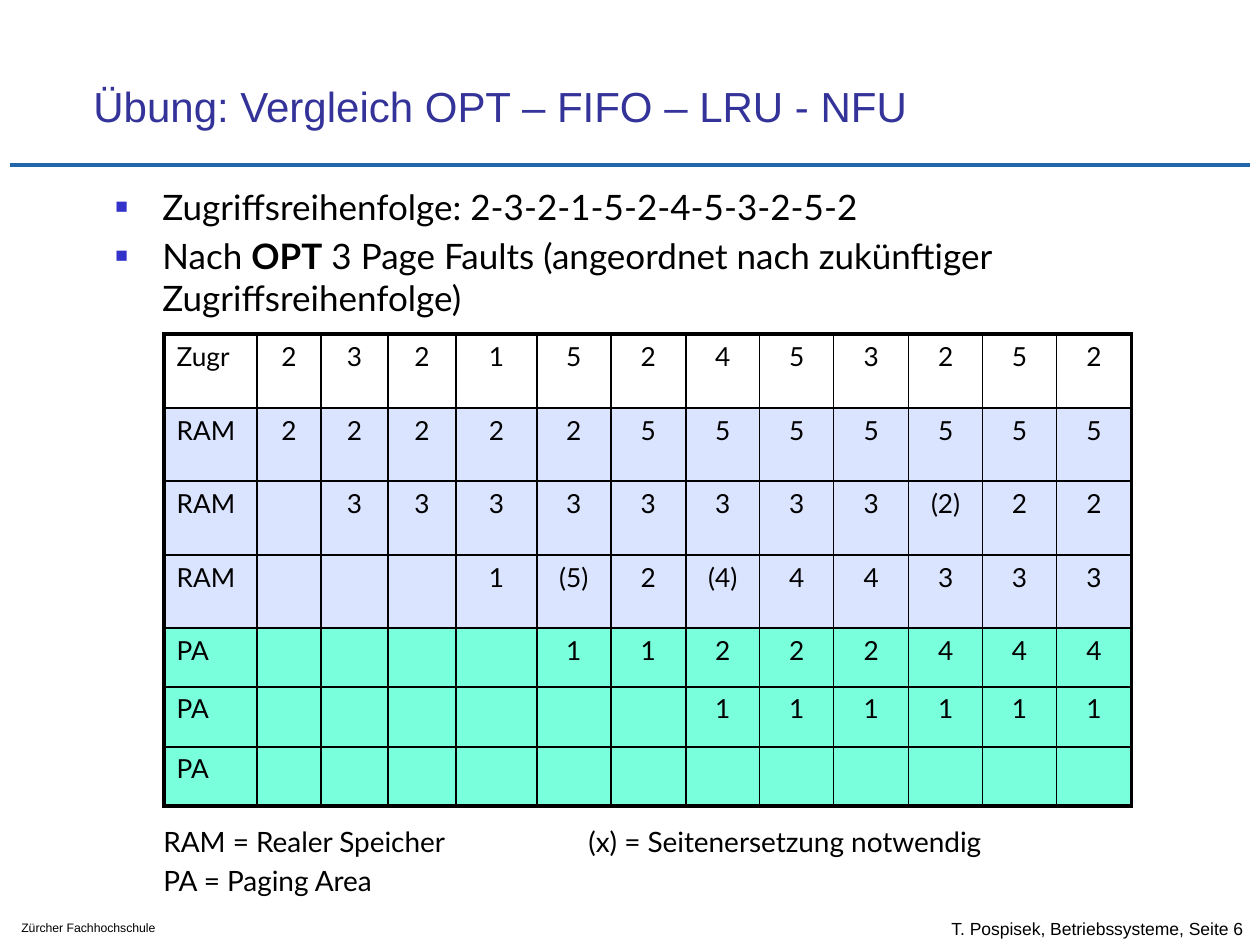
from dataclasses import dataclass

from lxml.etree import SubElement
from pptx import Presentation
from pptx.dml.color import RGBColor
from pptx.enum.shapes import MSO_CONNECTOR
from pptx.enum.text import MSO_ANCHOR, PP_ALIGN
from pptx.oxml.ns import qn
from pptx.slide import Slide
from pptx.table import _Cell
from pptx.text.text import TextFrame, _Paragraph
from pptx.util import Emu, Pt

PIXELS_PER_INCH = 126


@dataclass(frozen=True)
class Theme:
    heading_font: str = "Arial"
    body_font: str = "Lato"
    title_color: str = "333399"
    text_color: str = "000000"
    bullet_color: str = "3333CC"
    rule_color: str = "2266AB"
    border_color: str = "000000"
    access_fill: str = "FFFFFF"
    ram_fill: str = "DAE4FF"
    paging_fill: str = "79FFDC"
    title_size: float = 24
    body_size: float = 20
    legend_size: float = 16
    table_size: float = 15
    author_size: float = 10
    school_size: float = 7
    rule_width: float = 2.5
    outer_border: float = 2.21
    inner_border: float = 0.96


THEME = Theme()


@dataclass(frozen=True)
class Box:
    left: int
    top: int
    width: int
    height: int


@dataclass(frozen=True)
class TextStyle:
    font: str
    size: float
    color: str = THEME.text_color


@dataclass(frozen=True)
class Label:
    box: Box
    text: str
    style: TextStyle
    anchor: MSO_ANCHOR = MSO_ANCHOR.TOP


@dataclass(frozen=True)
class MemoryRow:
    name: str
    pages: str
    fill: str
    height: int

    def values(self, columns: int) -> list[str]:
        pages = self.pages.split()
        return [self.name] + [""] * (columns - 1 - len(pages)) + pages


LABELS = (
    Label(Box(939, 907, 321, 42), "T. Pospisek, Betriebssysteme, Seite 6",
          TextStyle(THEME.heading_font, THEME.author_size), MSO_ANCHOR.MIDDLE),
    Label(Box(9, 914, 217, 28), "Zürcher Fachhochschule",
          TextStyle(THEME.heading_font, THEME.school_size)),
    Label(Box(81, 42, 1074, 95), "Übung: Vergleich OPT – FIFO – LRU - NFU",
          TextStyle(THEME.heading_font, THEME.title_size, THEME.title_color),
          MSO_ANCHOR.BOTTOM),
)
BODY_STYLE = TextStyle(THEME.body_font, THEME.body_size)
LEGEND_STYLE = TextStyle(THEME.body_font, THEME.legend_size)
TABLE_STYLE = TextStyle(THEME.body_font, THEME.table_size)

BULLETS = (
    (("Zugriffsreihenfolge: 2-3-2-1-5-2-4-5-3-2-5-2", False),),
    (("Nach ", False), ("OPT", True),
     (" 3 Page Faults (angeordnet nach zukünftiger Zugriffsreihenfolge)", False)),
)
LEGEND = ("RAM = Realer Speicher\t(x) = Seitenersetzung notwendig", "PA = Paging Area")

MEMORY_ROWS = (
    MemoryRow("Zugr", "2 3 2 1 5 2 4 5 3 2 5 2", THEME.access_fill, 74),
    MemoryRow("RAM", "2 2 2 2 2 5 5 5 5 5 5 5", THEME.ram_fill, 73),
    MemoryRow("RAM", "3 3 3 3 3 3 3 3 (2) 2 2", THEME.ram_fill, 74),
    MemoryRow("RAM", "1 (5) 2 (4) 4 4 3 3 3", THEME.ram_fill, 73),
    MemoryRow("PA", "1 1 2 2 2 4 4 4", THEME.paging_fill, 59),
    MemoryRow("PA", "1 1 1 1 1 1", THEME.paging_fill, 60),
    MemoryRow("PA", "", THEME.paging_fill, 59),
)
COLUMN_WIDTHS = (93, 64, 67, 68, 81, 74, 75, 74, 74, 75, 74, 74, 75)


def px(value: int) -> Emu:
    return Emu(round(value * 914400 / PIXELS_PER_INCH))


def place(box: Box) -> tuple[Emu, Emu, Emu, Emu]:
    return px(box.left), px(box.top), px(box.width), px(box.height)


def style_paragraph(paragraph: _Paragraph, style: TextStyle) -> None:
    paragraph.font.name = style.font
    paragraph.font.size = Pt(style.size)
    paragraph.font.color.rgb = RGBColor.from_string(style.color)


def add_text_frame(slide: Slide, box: Box) -> TextFrame:
    text_frame = slide.shapes.add_textbox(*place(box)).text_frame
    text_frame.word_wrap = True
    return text_frame


def next_paragraph(text_frame: TextFrame, index: int, space_before: float) -> _Paragraph:
    if index == 0:
        return text_frame.paragraphs[0]
    paragraph = text_frame.add_paragraph()
    paragraph.space_before = Pt(space_before)
    return paragraph


def add_label(slide: Slide, label: Label) -> None:
    text_frame = add_text_frame(slide, label.box)
    text_frame.vertical_anchor = label.anchor
    text_frame.text = label.text
    style_paragraph(text_frame.paragraphs[0], label.style)


def add_rule(slide: Slide) -> None:
    rule = slide.shapes.add_connector(
        MSO_CONNECTOR.STRAIGHT, px(10), px(165), px(1250), px(165))
    rule.line.color.rgb = RGBColor.from_string(THEME.rule_color)
    rule.line.width = Pt(THEME.rule_width)
    SubElement(rule._element.spPr, qn("a:effectLst"))


def add_bullet_marker(paragraph: _Paragraph) -> None:
    properties = paragraph._p.get_or_add_pPr()
    properties.set("marL", str(px(48)))
    properties.set("indent", str(-px(47)))
    color = SubElement(properties, qn("a:buClr"))
    SubElement(color, qn("a:srgbClr"), val=THEME.bullet_color)
    SubElement(properties, qn("a:buSzPct"), val="60000")
    SubElement(properties, qn("a:buFont"), typeface=THEME.heading_font)
    SubElement(properties, qn("a:buChar"), char="■")


def add_bullets(slide: Slide) -> None:
    text_frame = add_text_frame(slide, Box(102, 179, 1053, 136))
    for index, runs in enumerate(BULLETS):
        paragraph = next_paragraph(text_frame, index, 4)
        add_bullet_marker(paragraph)
        style_paragraph(paragraph, BODY_STYLE)
        for text, bold in runs:
            run = paragraph.add_run()
            run.text = text
            if bold:
                run.font.bold = True


def add_legend(slide: Slide) -> None:
    text_frame = add_text_frame(slide, Box(151, 818, 1008, 84))
    for index, text in enumerate(LEGEND):
        paragraph = next_paragraph(text_frame, index, 3.2)
        paragraph.text = text
        if "\t" in text:
            tabs = SubElement(paragraph._p.get_or_add_pPr(), qn("a:tabLst"))
            SubElement(tabs, qn("a:tab"), pos=str(px(425)), algn="l")
        style_paragraph(paragraph, LEGEND_STYLE)


def set_borders(cell: _Cell, outer_sides: dict[str, bool]) -> None:
    properties = cell._tc.get_or_add_tcPr()
    for position, (side, is_outer) in enumerate(outer_sides.items()):
        width = THEME.outer_border if is_outer else THEME.inner_border
        border = SubElement(properties, qn(f"a:ln{side}"), w=str(Pt(width)))
        fill = SubElement(border, qn("a:solidFill"))
        SubElement(fill, qn("a:srgbClr"), val=THEME.border_color)
        properties.insert(position, border)


def add_memory_table(slide: Slide) -> None:
    row_count, column_count = len(MEMORY_ROWS), len(COLUMN_WIDTHS)
    box = Box(164, 334, sum(COLUMN_WIDTHS), sum(row.height for row in MEMORY_ROWS))
    table = slide.shapes.add_table(row_count, column_count, *place(box)).table
    table.first_row = table.horz_banding = False
    for column, width in zip(table.columns, COLUMN_WIDTHS):
        column.width = px(width)
    for row_index, row in enumerate(MEMORY_ROWS):
        table.rows[row_index].height = px(row.height)
        for column_index, value in enumerate(row.values(column_count)):
            cell = table.cell(row_index, column_index)
            cell.fill.solid()
            cell.fill.fore_color.rgb = RGBColor.from_string(row.fill)
            set_borders(cell, {"L": column_index == 0,
                               "R": column_index == column_count - 1,
                               "T": row_index == 0,
                               "B": row_index == row_count - 1})
            cell.text = value
            paragraph = cell.text_frame.paragraphs[0]
            paragraph.alignment = PP_ALIGN.CENTER if column_index else PP_ALIGN.LEFT
            style_paragraph(paragraph, TABLE_STYLE)


def main() -> None:
    presentation = Presentation()
    presentation.slide_width, presentation.slide_height = px(1260), px(945)
    slide = presentation.slides.add_slide(presentation.slide_layouts[6])
    add_rule(slide)
    for label in LABELS:
        add_label(slide, label)
    add_bullets(slide)
    add_legend(slide)
    add_memory_table(slide)
    presentation.save("out.pptx")


if __name__ == "__main__":
    main()
